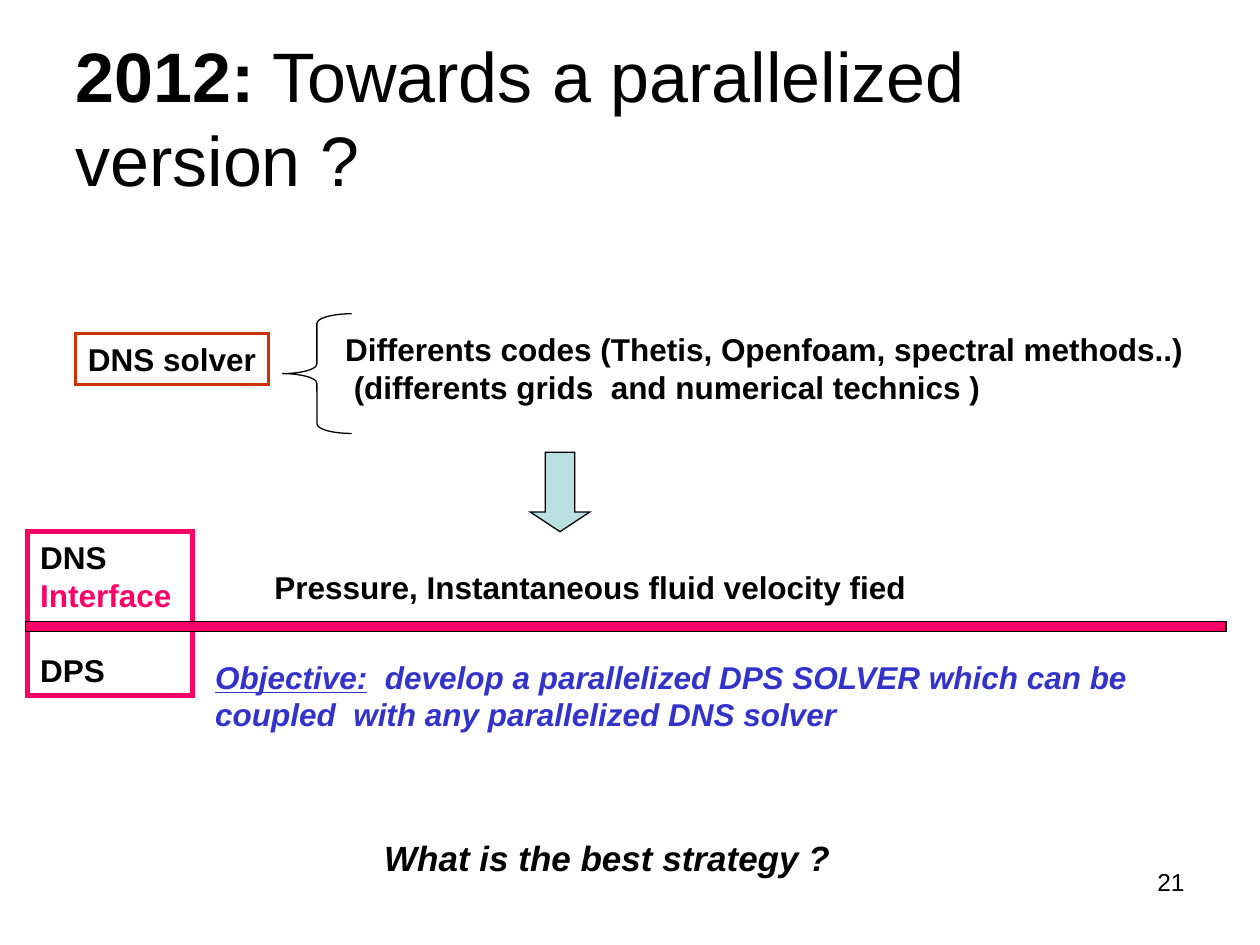
from dataclasses import dataclass

from lxml.etree import SubElement
from pptx import Presentation
from pptx.dml.color import RGBColor
from pptx.enum.shapes import MSO_SHAPE as Preset
from pptx.enum.text import MSO_ANCHOR as Anchor, PP_ALIGN as Align
from pptx.oxml.ns import qn
from pptx.shapes.autoshape import Shape
from pptx.slide import Slide
from pptx.util import Inches, Pt

BLACK, PINK, RUST, BLUE, TEAL = "000000", "FF0066", "CC3300", "3333CC", "BBE0E3"


@dataclass(frozen=True)
class Box:
    left: float
    top: float
    width: float
    height: float


@dataclass(frozen=True)
class Run:
    text: str
    color: str = BLACK
    bold: bool = True
    italic: bool = False
    underline: bool = False


@dataclass(frozen=True)
class Line:
    runs: tuple[Run, ...]
    space_before: float = 0


@dataclass(frozen=True)
class TextBlock:
    box: Box
    lines: tuple[Line, ...]
    size: float = 18
    wrap: bool = False
    anchor: Anchor = Anchor.TOP
    align: Align = Align.LEFT
    border: str | None = None
    border_width: float = 0


def line(text: str, color: str = BLACK, space_before: float = 0, **style: bool) -> Line:
    """Make a line that holds a single run."""
    return Line((Run(text, color, **style),), space_before)


def rgb(color: str) -> RGBColor:
    """Turn a hex string into a colour."""
    return RGBColor.from_string(color)


def lengths(box: Box) -> tuple[Inches, ...]:
    """Give the position and size of a box as lengths."""
    return tuple(Inches(value) for value in (box.left, box.top, box.width, box.height))


def add_preset(slide: Slide, preset: Preset, box: Box, fill: str | None = None,
               border: str = BLACK, border_width: float = 0.75) -> Shape:
    """Add a sharp-cornered preset shape, filled when a fill is given."""
    shape = slide.shapes.add_shape(preset, *lengths(box))
    shape.shadow.inherit = False
    if fill:
        shape.fill.solid()
        shape.fill.fore_color.rgb = rgb(fill)
    else:
        shape.fill.background()
    shape.line.color.rgb = rgb(border)
    shape.line.width = Pt(border_width)
    outline = shape.element.spPr.find(qn("a:ln"))
    SubElement(outline, qn("a:miter"), lim="800000")
    return shape


def add_text(slide: Slide, block: TextBlock) -> None:
    """Add a text block, framed when it has a border colour."""
    if block.border:
        shape = add_preset(slide, Preset.RECTANGLE, block.box,
                           border=block.border, border_width=block.border_width)
    else:
        shape = slide.shapes.add_textbox(*lengths(block.box))
    frame = shape.text_frame
    frame.word_wrap = block.wrap
    frame.vertical_anchor = block.anchor
    frame.margin_left = frame.margin_right = Inches(0.1)
    frame.margin_top = frame.margin_bottom = Inches(0.05)
    for index, text_line in enumerate(block.lines):
        paragraph = frame.add_paragraph() if index else frame.paragraphs[0]
        paragraph.alignment = block.align
        if text_line.space_before:
            paragraph.space_before = Pt(text_line.space_before)
        for part in text_line.runs:
            run = paragraph.add_run()
            run.text = part.text
            font = run.font
            font.name, font.size = "Arial", Pt(block.size)
            font.bold, font.italic = part.bold, part.italic
            font.underline = part.underline
            font.color.rgb = rgb(part.color)


INTERFACE = TextBlock(
    Box(0.22, 4.22, 1.31, 1.3),
    (line("DNS"), line("Interface", PINK), line("DPS", space_before=21.6)),
    border=PINK, border_width=3)
TITLE = TextBlock(
    Box(0.5, 0.3, 9, 1.25),
    (Line((Run("2012:"), Run(" Towards a parallelized version ?", bold=False))),),
    size=40, wrap=True, anchor=Anchor.MIDDLE)
SOLVER = TextBlock(Box(0.6, 2.65, 1.53, 0.4), (line("DNS solver"),),
                   border=RUST, border_width=1.75)
CODES = TextBlock(
    Box(2.64, 2.57, 6.95, 0.7),
    (line("Differents codes (Thetis, Openfoam, spectral methods..)"),
     line(" (differents grids  and numerical technics )")))
FIELDS = TextBlock(Box(2.01, 4.46, 5.35, 0.4),
                   (line(" Pressure, Instantaneous fluid velocity fied"),))
OBJECTIVE = TextBlock(
    Box(1.61, 5.17, 8.03, 0.7),
    (Line((Run("Objective:", BLUE, italic=True, underline=True),
           Run("  develop a parallelized DPS SOLVER which can be coupled"
               "  with any parallelized DNS solver", BLUE, italic=True))),),
    wrap=True)
QUESTION = TextBlock(Box(2.95, 6.59, 3.82, 0.44),
                     (line("What is the best strategy ?", italic=True),), size=20)
PAGE_NUMBER = TextBlock(Box(7.17, 6.83, 2.33, 0.52), (line("21", bold=False),),
                        size=14, wrap=True, align=Align.RIGHT)


def main() -> None:
    """Build the slide and save it."""
    presentation = Presentation()
    presentation.slide_width, presentation.slide_height = Inches(10), Inches(7.5)
    slide = presentation.slides.add_slide(presentation.slide_layouts[6])
    for block in (INTERFACE, TITLE, SOLVER):
        add_text(slide, block)
    brace = add_preset(slide, Preset.LEFT_BRACE, Box(2.24, 2.49, 0.55, 0.95))
    brace.adjustments[0] = 0.14
    add_text(slide, CODES)
    arrow = add_preset(slide, Preset.DOWN_ARROW, Box(4.21, 3.59, 0.47, 0.63), TEAL)
    arrow.adjustments[1] = 0.33
    add_text(slide, FIELDS)
    add_preset(slide, Preset.RECTANGLE, Box(0.2, 4.93, 9.53, 0.08), PINK)
    for block in (OBJECTIVE, QUESTION, PAGE_NUMBER):
        add_text(slide, block)
    presentation.save("out.pptx")


if __name__ == "__main__":
    main()
